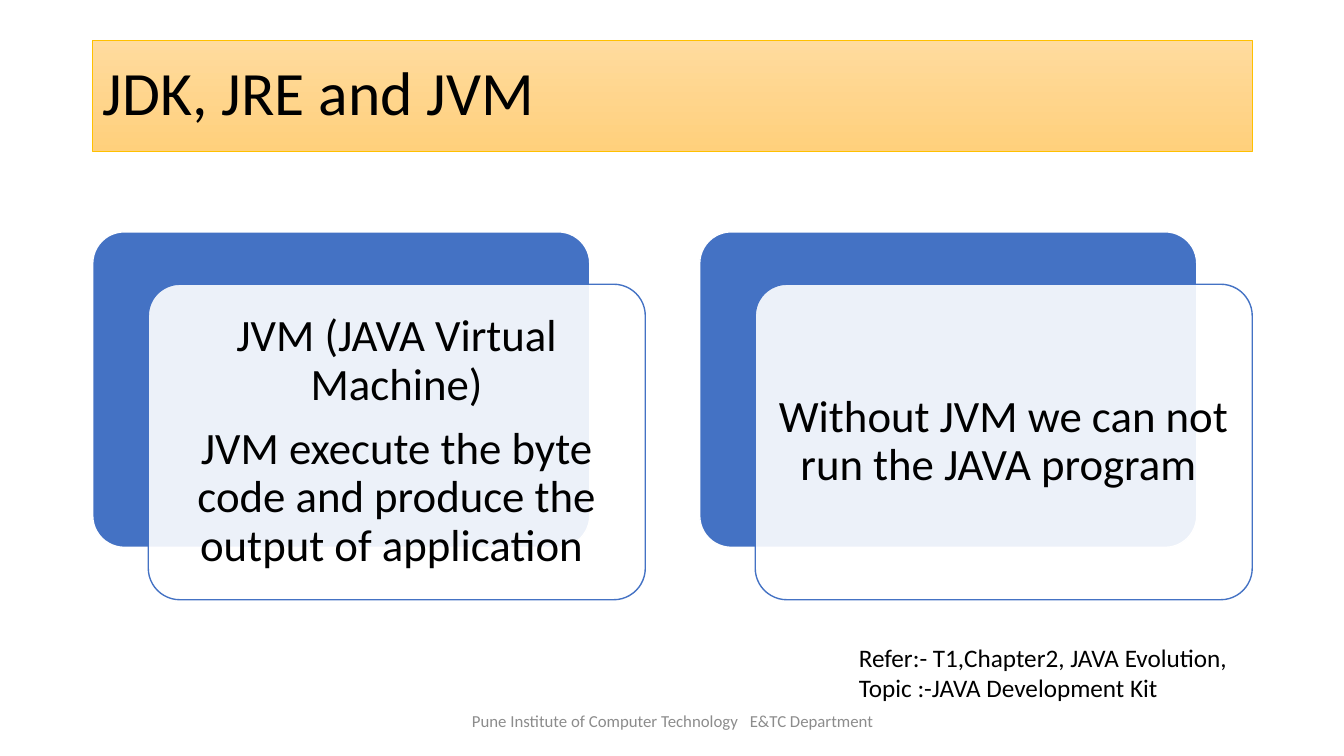
"""Build the slide that introduces the JVM with two layered cards."""
from dataclasses import dataclass

import pptx
import pptx.dml.color
import pptx.enum.shapes
import pptx.enum.text
import pptx.oxml.ns
import pptx.shapes.autoshape
import pptx.slide
import pptx.text.text
import pptx.util
from lxml import etree

RGBColor = pptx.dml.color.RGBColor
Align = pptx.enum.text.PP_ALIGN
Anchor = pptx.enum.text.MSO_ANCHOR

BLACK = RGBColor(0x00, 0x00, 0x00)
WHITE = RGBColor(0xFF, 0xFF, 0xFF)
BLUE = RGBColor(0x44, 0x72, 0xC4)
GOLD = RGBColor(0xFF, 0xC0, 0x00)
PEACH = RGBColor(0xFF, 0xDB, 0x9E)
APRICOT = RGBColor(0xFF, 0xD0, 0x7C)
GREY = RGBColor(0x8C, 0x8C, 0x8C)

SLIDE_WIDTH = pptx.util.Inches(13.33)
SLIDE_HEIGHT = pptx.util.Inches(7.5)


@dataclass(frozen=True)
class Area:
    """A rectangle in percent of the slide's width and height."""
    left: float
    top: float
    width: float
    height: float

    def shifted(self, across: float, down: float) -> "Area":
        """Return the same rectangle moved across and down."""
        return Area(self.left + across, self.top + down, self.width, self.height)

    def lengths(self) -> tuple[int, int, int, int]:
        """Return left, top, width and height in slide units."""
        return (int(SLIDE_WIDTH * self.left / 100), int(SLIDE_HEIGHT * self.top / 100),
                int(SLIDE_WIDTH * self.width / 100), int(SLIDE_HEIGHT * self.height / 100))


@dataclass(frozen=True)
class Style:
    """The look of a block of text."""
    size: int
    color: RGBColor = BLACK
    align: Align = Align.LEFT
    anchor: Anchor = Anchor.MIDDLE
    line_spacing: float = 1.0
    space_after: float = 0


HEADING = Area(6.9, 5.33, 86.27, 14.67)
BACK_PANEL = Area(6.9, 30.67, 36.98, 41.73)
FRONT_ACROSS, FRONT_DOWN = 4.13, 6.93
CARD_PITCH = HEADING.width - FRONT_ACROSS - BACK_PANEL.width
FOOTER = Area(33.16, 92.67, 33.76, 5.33)
REFERENCE = Area(63.17, 84.27, 35.63, 9.47)

HEADING_STYLE = Style(44, line_spacing=0.9)
CARD_STYLE = Style(32, align=Align.CENTER, line_spacing=0.9, space_after=11.2)
FOOTER_STYLE = Style(12, GREY, Align.CENTER)
REFERENCE_STYLE = Style(18, anchor=Anchor.TOP)

CARDS = [
    "JVM (JAVA Virtual Machine)\n"
    "JVM execute the byte code and produce the output of application ",
    "Without JVM we can not run the JAVA program ",
]


def write(frame: pptx.text.text.TextFrame, text: str, style: Style) -> None:
    """Fill a text frame and format its paragraphs."""
    frame.text = text
    frame.word_wrap = True
    frame.auto_size = pptx.enum.text.MSO_AUTO_SIZE.NONE
    frame.vertical_anchor = style.anchor
    for paragraph in frame.paragraphs:
        paragraph.alignment = style.align
        paragraph.line_spacing = style.line_spacing
        paragraph.space_after = pptx.util.Pt(style.space_after)
        for run in paragraph.runs:
            run.font.name = "Calibri"
            run.font.size = pptx.util.Pt(style.size)
            run.font.color.rgb = style.color


def add_panel(slide: pptx.slide.Slide, area: Area, fill: RGBColor,
              line: RGBColor) -> pptx.shapes.autoshape.Shape:
    """Add one rounded panel of a card."""
    panel = slide.shapes.add_shape(
        pptx.enum.shapes.MSO_SHAPE.ROUNDED_RECTANGLE, *area.lengths())
    panel.adjustments[0] = 0.1
    panel.shadow.inherit = False
    panel.fill.solid()
    panel.fill.fore_color.rgb = fill
    panel.line.color.rgb = line
    panel.line.width = pptx.util.Pt(1)
    return panel


def add_card(slide: pptx.slide.Slide, area: Area, text: str) -> None:
    """Add a blue panel with a translucent text panel over it."""
    add_panel(slide, area, BLUE, WHITE)
    front = add_panel(slide, area.shifted(FRONT_ACROSS, FRONT_DOWN), WHITE, BLUE)
    tint = front.fill._xPr.find(".//" + pptx.oxml.ns.qn("a:srgbClr"))
    etree.SubElement(tint, pptx.oxml.ns.qn("a:alpha"), val="90000")
    frame = front.text_frame
    frame.margin_left = frame.margin_right = pptx.util.Inches(0.13)
    frame.margin_top = frame.margin_bottom = pptx.util.Inches(0.13)
    write(frame, text, CARD_STYLE)


def add_note(slide: pptx.slide.Slide, area: Area, text: str,
             style: Style) -> pptx.text.text.TextFrame:
    """Add a plain text box and return its text frame."""
    frame = slide.shapes.add_textbox(*area.lengths()).text_frame
    write(frame, text, style)
    return frame


def add_footer(slide: pptx.slide.Slide) -> None:
    """Add the footer with a widened space between its two names."""
    frame = add_note(slide, FOOTER, "Pune Institute of Computer Technology", FOOTER_STYLE)
    for part in (" ", "E&TC Department"):
        run = frame.paragraphs[0].add_run()
        run.text = part
        run.font.name = "Calibri"
        run.font.size = pptx.util.Pt(FOOTER_STYLE.size)
        run.font.color.rgb = FOOTER_STYLE.color
    frame.paragraphs[0].runs[1].font._element.set("spc", "540")


def format_heading(heading: pptx.shapes.autoshape.Shape) -> None:
    """Place the title and give it a gradient band."""
    heading.left, heading.top, heading.width, heading.height = HEADING.lengths()
    heading.fill.gradient()
    heading.fill.gradient_angle = 270
    for stop, color in zip(heading.fill.gradient_stops, (PEACH, APRICOT)):
        stop.color.rgb = color
    heading.line.color.rgb = GOLD
    heading.line.width = pptx.util.Pt(0.5)
    write(heading.text_frame, "JDK, JRE and JVM", HEADING_STYLE)


def main() -> None:
    """Build and save the presentation."""
    presentation = pptx.Presentation()
    presentation.slide_width = SLIDE_WIDTH
    presentation.slide_height = SLIDE_HEIGHT
    slide = presentation.slides.add_slide(presentation.slide_layouts[5])
    format_heading(slide.shapes.title)
    for column, text in enumerate(CARDS):
        add_card(slide, BACK_PANEL.shifted(column * CARD_PITCH, 0), text)
    add_footer(slide)
    add_note(slide, REFERENCE,
             "Refer:- T1,Chapter2, JAVA Evolution,\nTopic :-JAVA Development Kit",
             REFERENCE_STYLE)
    presentation.save("out.pptx")


if __name__ == "__main__":
    main()
